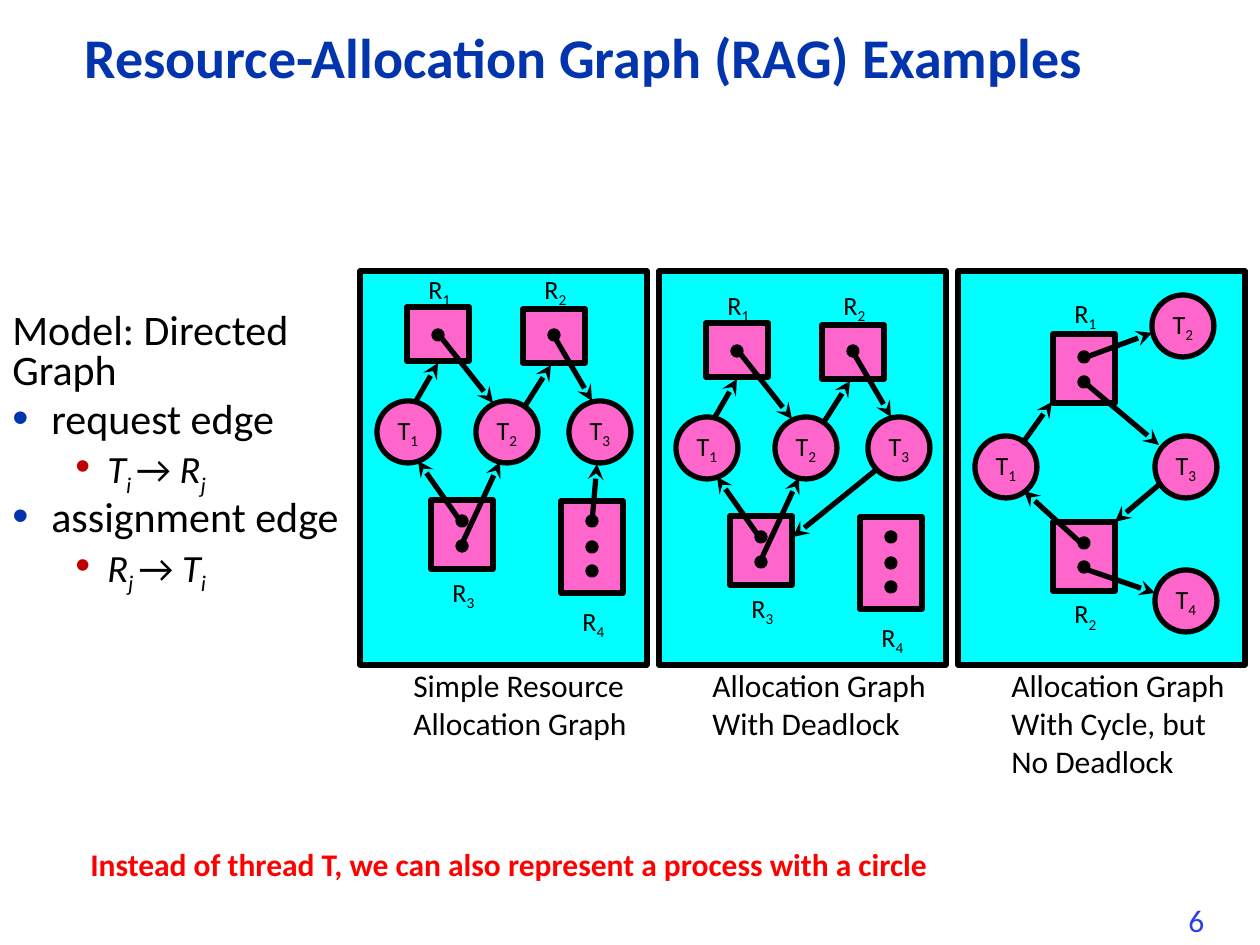
from lxml import etree
from pptx import Presentation
from pptx.dml.color import RGBColor
from pptx.enum.shapes import MSO_CONNECTOR, MSO_SHAPE
from pptx.enum.text import MSO_ANCHOR, PP_ALIGN
from pptx.oxml.ns import qn
from pptx.util import Pt

RECT = MSO_SHAPE.RECTANGLE
OVAL = MSO_SHAPE.OVAL
LINE = MSO_CONNECTOR.STRAIGHT
MIDDLE = MSO_ANCHOR.MIDDLE
TOP = MSO_ANCHOR.TOP
CENTER = PP_ALIGN.CENTER
SCALE = 914400 // 126
FONT = "Calibri"
BLACK, PINK, CYAN = "000000", "FF66CC", "00FFFF"
BLUE, RED = "0234AD", "C00000"
STEP = 299
SIDE = 62


def px(n):
    return int(n * SCALE)


def color(code):
    return RGBColor.from_string(code)


def style(run, size, code=BLACK, bold=False, italic=False, sub=False):
    font = run.font
    font.name = FONT
    font.size = Pt(size)
    font.color.rgb = color(code)
    font.bold = bold
    font.italic = italic
    if sub:
        run._r.get_or_add_rPr().set("baseline", "-25000")


def add_run(para, text, size, **opts):
    run = para.add_run()
    run.text = text
    style(run, size, **opts)


def add_name(para, name):
    add_run(para, name[0], 15)
    add_run(para, name[1:], 15, sub=True)


def add_box(shapes, x, y, w, h):
    box = shapes.add_textbox(px(x), px(y), px(w), px(h))
    box.text_frame.word_wrap = True
    return box.text_frame


def add_text(shapes, x, y, w, h, text, size, code=BLACK, bold=False, anchor=TOP):
    frame = add_box(shapes, x, y, w, h)
    frame.text = text
    frame.vertical_anchor = anchor
    for para in frame.paragraphs:
        for run in para.runs:
            style(run, size, code, bold)
    return frame


def add_form(shapes, kind, x, y, w, h, code):
    form = shapes.add_shape(kind, px(x), px(y), px(w), px(h))
    form.shadow.inherit = False
    form.fill.solid()
    form.fill.fore_color.rgb = color(code)
    form.line.color.rgb = color(BLACK)
    form.line.width = Pt(3)
    return form


def add_thread(shapes, name, x, y):
    frame = add_form(shapes, OVAL, x, y, SIDE, SIDE, PINK).text_frame
    frame.word_wrap = False
    frame.vertical_anchor = MIDDLE
    para = frame.paragraphs[0]
    para.alignment = CENTER
    add_name(para, name)


def add_source(shapes, name, x, y, h, label, dots):
    add_form(shapes, RECT, x, y, SIDE, h, PINK)
    for dot in dots:
        add_form(shapes, OVAL, x + 27, dot - 4, 8, 8, BLACK)
    frame = add_box(shapes, x + 9, label, 50, 44)
    add_name(frame.paragraphs[0], name)


def add_edge(shapes, x1, y1, x2, y2):
    edge = shapes.add_connector(LINE, px(x1), px(y1), px(x2), px(y2))
    edge.line.color.rgb = color(BLACK)
    edge.line.width = Pt(3)
    tail = etree.SubElement(edge.line._get_or_add_ln(), qn("a:tailEnd"))
    tail.set("type", "stealth")
    etree.SubElement(edge._element.spPr, qn("a:effectLst"))


def add_panel(slide, col, caption, threads, sources, edges, dx=0, dy=0):
    shapes = slide.shapes.add_group_shape().shapes
    left = 360 + col * STEP
    add_form(shapes, RECT, left, 271, 287, 394, CYAN)
    for name, x, y in threads:
        add_thread(shapes, name, x + dx, y + dy)
    for name, x, y, h, label, dots in sources:
        add_source(shapes, name, x + dx, y + dy, h, label + dy,
                   [dot + dy for dot in dots])
    for x1, y1, x2, y2 in edges:
        add_edge(shapes, x1 + dx, y1 + dy, x2 + dx, y2 + dy)
    tall = 127 if caption.count("\n") + caption.count("\v") > 1 else 89
    add_text(shapes, left + 41, 660, 242, tall, caption, 18)


def add_bullet(para, code, left, hang):
    props = para._p.get_or_add_pPr()
    props.set("marL", str(px(left)))
    props.set("indent", str(px(-hang)))
    tint = etree.SubElement(props, qn("a:buClr"))
    etree.SubElement(tint, qn("a:srgbClr")).set("val", code)
    etree.SubElement(props, qn("a:buSzPct")).set("val", "110000")
    etree.SubElement(props, qn("a:buFont")).set("typeface", "Arial")
    etree.SubElement(props, qn("a:buChar")).set("char", "•")


def add_model(slide):
    frame = add_box(slide.shapes, 0, 307, 365, 450)
    rows = [
        (None, ["Model: Directed Graph"]),
        (0, ["request edge"]),
        (1, ["T", "i ", "→ ", "R", "j"]),
        (0, ["assignment edge"]),
        (1, ["R", "j ", "→ ", "T", "i"]),
    ]
    for i, (level, parts) in enumerate(rows):
        para = frame.add_paragraph() if i else frame.paragraphs[0]
        size = 22 if level else 24
        para.line_spacing = 0.8
        para.space_before = Pt(size * 0.2)
        if level == 0:
            add_bullet(para, BLUE, 39, 39)
        elif level == 1:
            para.level = 1
            add_bullet(para, RED, 95, 32)
        for part in parts:
            add_run(para, part, size, italic=bool(level) and part != "→ ",
                    sub=part.strip() in ("i", "j"))


def main():
    deck = Presentation()
    deck.slide_width, deck.slide_height = px(1260), px(945)
    slide = deck.slides.add_slide(deck.slide_layouts[6])
    shapes = slide.shapes
    add_text(shapes, 1176, 895, 64, 50, "6", 18, "2A40E2")
    title = add_text(shapes, 72, 24, 1140, 73,
                     "Resource-Allocation Graph (RAG) Examples", 32, BLUE, True, MIDDLE)
    title.paragraphs[0].line_spacing = 0.9
    add_model(slide)

    threads = [("T1", 377, 401), ("T2", 476, 401), ("T3", 569, 401)]
    sources = [
        ("R1", 407, 307, 54, 267, [335]),
        ("R2", 523, 309, 54, 267, [335]),
        ("R3", 431, 500, 69, 570, [521, 546]),
        ("R4", 561, 501, 92, 599, [521, 547, 571]),
    ]
    edges = [
        (416, 401, 438, 363), (440, 336, 493, 403), (525, 406, 551, 365),
        (554, 336, 592, 401), (461, 522, 418, 461), (461, 546, 500, 462),
    ]
    add_panel(slide, 0, "Simple Resource\nAllocation Graph", threads, sources,
              edges + [(592, 523, 597, 464)])
    add_panel(slide, 1, "Allocation Graph\vWith Deadlock", threads, sources,
              edges + [(577, 454, 494, 521)], STEP, 16)
    add_panel(
        slide, 2, "Allocation Graph\vWith Cycle, but\nNo Deadlock",
        [("T1", 975, 436), ("T2", 1152, 295), ("T3", 1155, 436), ("T4", 1155, 570)],
        [("R1", 1053, 334, 69, 291, [357, 382]),
         ("R2", 1053, 522, 69, 591, [543, 567])],
        [(1022, 444, 1052, 402), (1082, 544, 1024, 491), (1082, 568, 1155, 593),
         (1160, 484, 1115, 522), (1084, 382, 1159, 445), (1084, 358, 1152, 333)])
    add_text(shapes, 78, 839, 869, 50,
             "Instead of thread T, we can also represent a process with a circle",
             18, "FF0000", True)
    deck.save("out.pptx")


main()
